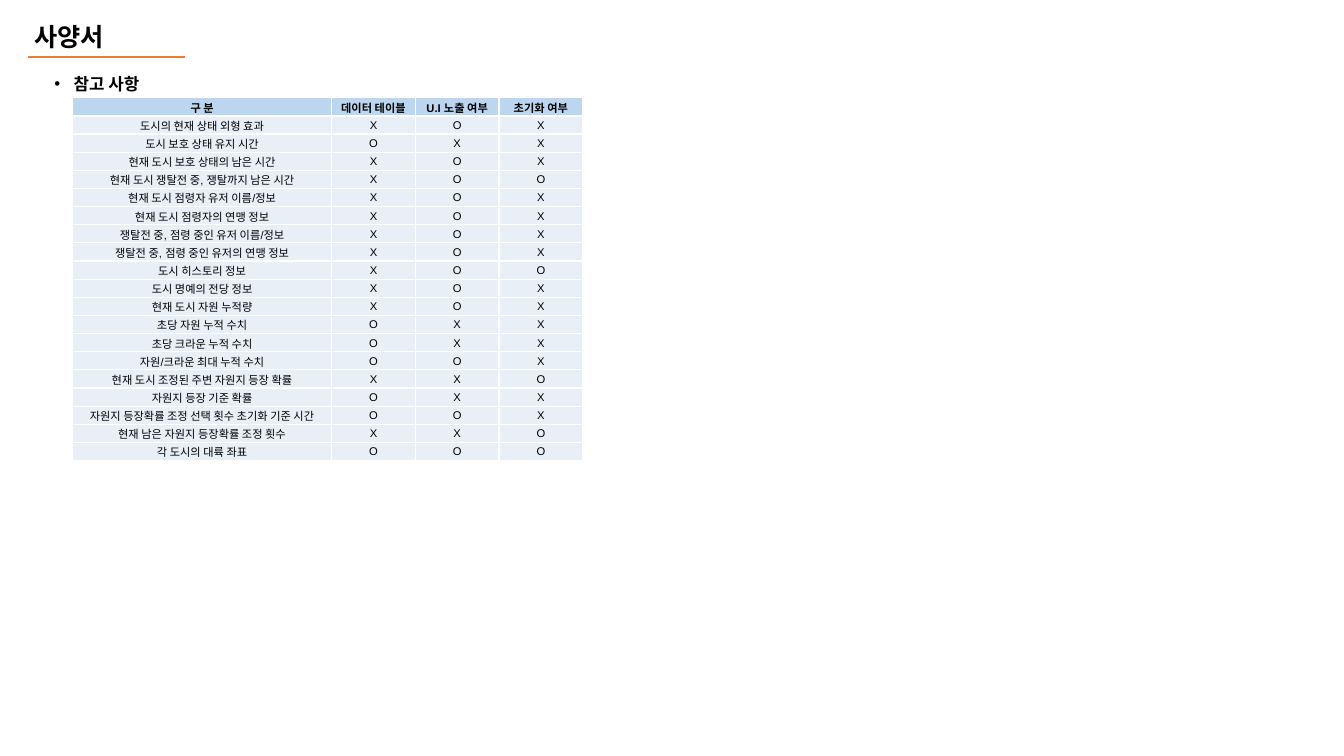
from dataclasses import dataclass

from lxml import etree
from pptx import Presentation
from pptx.dml.color import RGBColor
from pptx.enum.shapes import MSO_CONNECTOR
from pptx.enum.text import MSO_ANCHOR, MSO_AUTO_SIZE, PP_ALIGN
from pptx.oxml.ns import qn
from pptx.util import Inches, Pt

STRAIGHT = MSO_CONNECTOR.STRAIGHT
LEFT, CENTER = PP_ALIGN.LEFT, PP_ALIGN.CENTER
TOP, MIDDLE = MSO_ANCHOR.TOP, MSO_ANCHOR.MIDDLE
NO_AUTOFIT = MSO_AUTO_SIZE.NONE

BLACK = RGBColor(0x00, 0x00, 0x00)
WHITE = RGBColor(0xFF, 0xFF, 0xFF)
ORANGE = RGBColor(0xED, 0x7D, 0x31)
HEADER_BLUE = RGBColor(0xBB, 0xD6, 0xEE)
ROW_BLUE = RGBColor(0xE9, 0xEF, 0xF7)
FONT = "Arial"

COLUMN_WIDTHS = (2.57, 0.83, 0.83, 0.83)
ROW_HEIGHT = 0.18


@dataclass
class SpecRow:
    item: str
    data_table: str
    ui_shown: str
    reset: str

    def values(self) -> tuple[str, ...]:
        return self.item, self.data_table, self.ui_shown, self.reset


HEADER = SpecRow("구 분", "데이터 테이블", "U.I 노출 여부", "초기화 여부")
SPEC_ROWS = [
    SpecRow("도시의 현재 상태 외형 효과", "X", "O", "X"),
    SpecRow("도시 보호 상태 유지 시간", "O", "X", "X"),
    SpecRow("현재 도시 보호 상태의 남은 시간", "X", "O", "X"),
    SpecRow("현재 도시 쟁탈전 중, 쟁탈까지 남은 시간", "X", "O", "O"),
    SpecRow("현재 도시 점령자 유저 이름/정보", "X", "O", "X"),
    SpecRow("현재 도시 점령자의 연맹 정보", "X", "O", "X"),
    SpecRow("쟁탈전 중, 점령 중인 유저 이름/정보", "X", "O", "X"),
    SpecRow("쟁탈전 중, 점령 중인 유저의 연맹 정보", "X", "O", "X"),
    SpecRow("도시 히스토리 정보", "X", "O", "O"),
    SpecRow("도시 명예의 전당 정보", "X", "O", "X"),
    SpecRow("현재 도시 자원 누적량", "X", "O", "X"),
    SpecRow("초당 자원 누적 수치", "O", "X", "X"),
    SpecRow("초당 크라운 누적 수치", "O", "X", "X"),
    SpecRow("자원/크라운 최대 누적 수치", "O", "O", "X"),
    SpecRow("현재 도시 조정된 주변 자원지 등장 확률", "X", "X", "O"),
    SpecRow("자원지 등장 기준 확률", "O", "X", "X"),
    SpecRow("자원지 등장확률 조정 선택 횟수 초기화 기준 시간", "O", "O", "X"),
    SpecRow("현재 남은 자원지 등장확률 조정 횟수", "X", "X", "O"),
    SpecRow("각 도시의 대륙 좌표", "O", "O", "O"),
]


def set_font(paragraph, size: float, bold: bool) -> None:
    font = paragraph.font
    font.name, font.size, font.bold = FONT, Pt(size), bold
    font.color.rgb = BLACK


def place_text(holder, text: str, left: float, top: float, width: float, height: float):
    """Move a placeholder, fill it and return its paragraph."""
    holder.left, holder.top = Inches(left), Inches(top)
    holder.width, holder.height = Inches(width), Inches(height)
    frame = holder.text_frame
    frame.text = text
    frame.auto_size = NO_AUTOFIT
    frame.word_wrap = False
    frame.vertical_anchor = TOP
    paragraph = frame.paragraphs[0]
    paragraph.alignment = LEFT
    return paragraph


def add_bullet(paragraph, indent: float) -> None:
    properties = paragraph._p.get_or_add_pPr()
    properties.set("marL", str(Inches(indent)))
    properties.set("indent", str(-Inches(indent)))
    color = etree.SubElement(properties, qn("a:buClr"))
    etree.SubElement(color, qn("a:srgbClr"), val=str(BLACK))
    etree.SubElement(properties, qn("a:buFont"), typeface=FONT)
    etree.SubElement(properties, qn("a:buChar"), char="•")


def add_borders(cell) -> None:
    properties = cell._tc.get_or_add_tcPr()
    for index, side in enumerate(("lnL", "lnR", "lnT", "lnB")):
        line = etree.Element(qn(f"a:{side}"), w=str(Pt(1)))
        fill = etree.SubElement(line, qn("a:solidFill"))
        etree.SubElement(fill, qn("a:srgbClr"), val=str(WHITE))
        properties.insert(index, line)


def fill_cell(cell, text: str, is_header: bool) -> None:
    cell.text = text
    cell.vertical_anchor = MIDDLE
    cell.margin_left = cell.margin_right = cell.margin_top = Inches(0.01)
    cell.margin_bottom = 0
    cell.fill.solid()
    cell.fill.fore_color.rgb = HEADER_BLUE if is_header else ROW_BLUE
    add_borders(cell)
    paragraph = cell.text_frame.paragraphs[0]
    paragraph.alignment = CENTER
    set_font(paragraph, 8, is_header)


def add_spec_table(slide, left: float, top: float) -> None:
    rows = [HEADER, *SPEC_ROWS]
    table = slide.shapes.add_table(
        len(rows), len(COLUMN_WIDTHS), Inches(left), Inches(top),
        Inches(sum(COLUMN_WIDTHS)), Inches(ROW_HEIGHT * len(rows))).table
    table.horz_banding = False
    for column, width in zip(table.columns, COLUMN_WIDTHS):
        column.width = Inches(width)
    for row_index, spec in enumerate(rows):
        table.rows[row_index].height = Inches(ROW_HEIGHT)
        for column_index, value in enumerate(spec.values()):
            fill_cell(table.cell(row_index, column_index), value, row_index == 0)


def main() -> None:
    deck = Presentation()
    deck.slide_width, deck.slide_height = Inches(13.33), Inches(7.5)
    slide = deck.slides.add_slide(deck.slide_layouts[1])

    # Title and its underline
    title = place_text(slide.shapes.title, "사양서", 0.24, 0.16, 0.96, 0.4)
    set_font(title, 18, True)
    underline = slide.shapes.add_connector(
        STRAIGHT, Inches(0.28), Inches(0.57), Inches(1.83), Inches(0.57))
    underline.line.color.rgb = ORANGE
    underline.line.width = Pt(1.5)
    etree.SubElement(underline._element.spPr, qn("a:effectLst"))

    # Section heading
    heading = place_text(slide.placeholders[1], "참고 사항", 0.44, 0.58, 3.02, 0.36)
    heading.line_spacing = 1.5
    heading.space_before = Pt(0)
    add_bullet(heading, 0.19)
    set_font(heading, 12, True)

    # Specification table
    add_spec_table(slide, 0.72, 0.97)

    deck.save("out.pptx")


if __name__ == "__main__":
    main()
